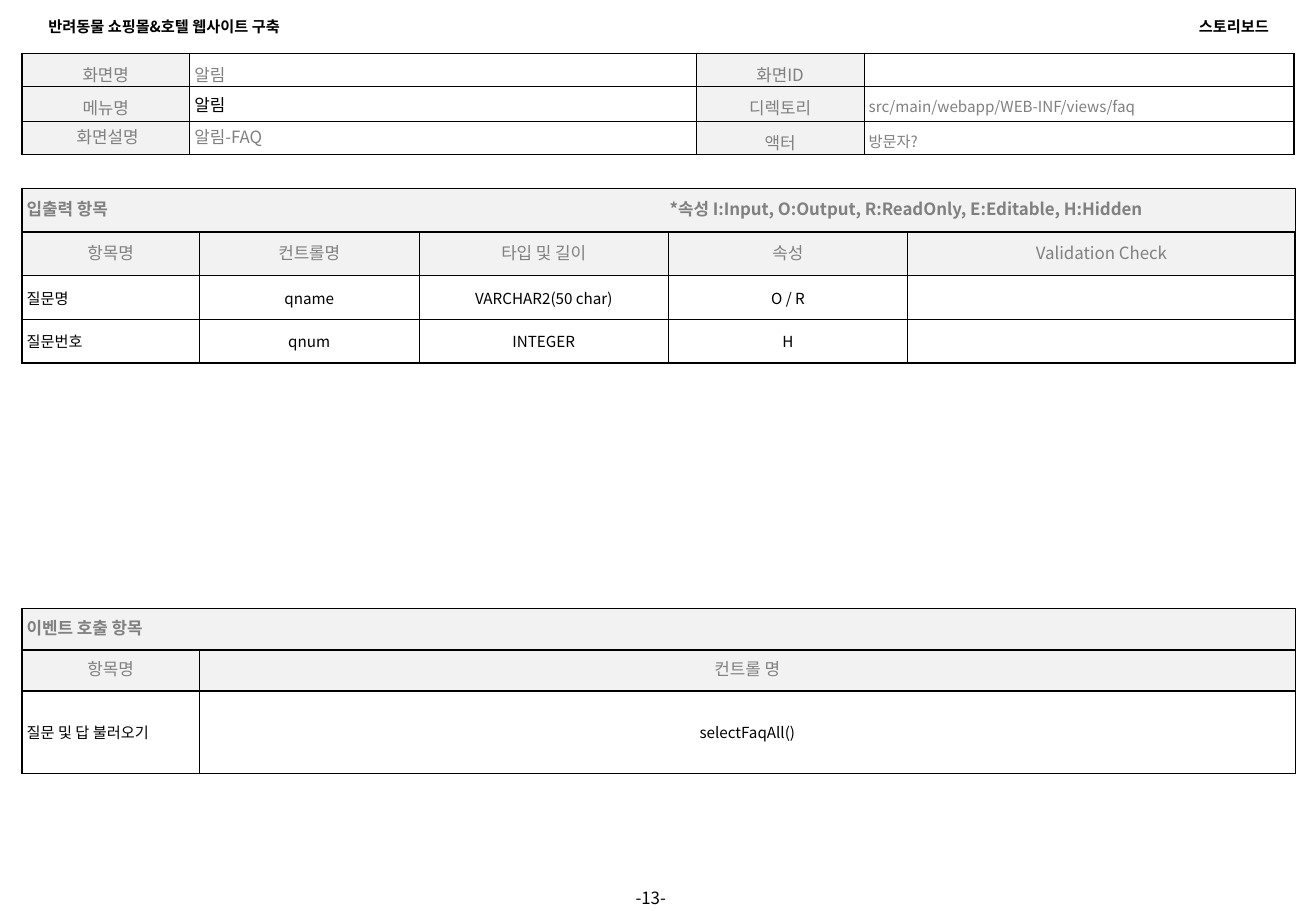
from lxml import etree
from pptx import Presentation
from pptx.dml.color import RGBColor
from pptx.enum import text
from pptx.oxml import ns
from pptx.util import Inches, Pt

FONT = "Noto Sans CJK KR"
COLORS = {"black": "000000", "gray": "808080", "shade": "F2F2F2"}
LEFT, CENTER, RIGHT = text.PP_ALIGN.LEFT, text.PP_ALIGN.CENTER, text.PP_ALIGN.RIGHT
TABLE_LEFT = 0.18
LEGEND_TAB = 5.29

LABELS = [
    ("-13-", (4.96, 7.31, 0.79, 0.16), CENTER, 10, False, 0.04),
    ("반려동물 쇼핑몰&호텔 웹사이트 구축", (0.3, 0.09, 2.99, 0.25), LEFT, 9, True, 0.1),
    ("스토리보드", (7.55, 0.09, 2.99, 0.25), RIGHT, 9, True, 0.1),
]

STYLES = {
    "title": dict(size=10, color="gray", bold=True, line=Pt(12), fill=True),
    "head": dict(size=10, color="gray", align=CENTER, line=Pt(12), fill=True),
    "item": dict(size=9),
    "value": dict(size=9, align=CENTER),
    "label": dict(size=10, color="gray", align=CENTER, line=1.15, space=3, fill=True),
    "label tight": dict(size=10, color="gray", align=CENTER, line=Pt(12), fill=True),
    "info": dict(size=10, color="gray", line=1.15, space=3),
    "info tight": dict(size=10, color="gray", line=Pt(12)),
    "info black": dict(size=10),
    "info small": dict(size=9, color="gray", line=1.15, space=3),
}

SECTIONS = [
    {
        "top": 1.55, "columns": [1.46, 1.81, 2.05, 1.97, 3.19], "heights": [0.36] * 4,
        "title": "입출력 항목\t*속성 I:Input, O:Output, R:ReadOnly, E:Editable, H:Hidden",
        "heads": ["항목명", "컨트롤명", "타입 및 길이", "속성", "Validation Check"],
        "items": [
            ["질문명", "qname", "VARCHAR2(50 char)", "O / R", ""],
            ["질문번호", "qnum", "INTEGER", "H", ""],
        ],
    },
    {
        "top": 5.01, "columns": [1.46, 9.02], "heights": [0.34, 0.34, 0.68],
        "title": "이벤트 호출 항목",
        "heads": ["항목명", "컨트롤 명"],
        "items": [["질문 및 답 불러오기", "selectFaqAll()"]],
    },
]

SCREEN_TOP = 0.44
SCREEN_COLUMNS = [1.38, 4.17, 1.38, 3.54]
SCREEN_HEIGHTS = [0.27, 0.29, 0.27]
SCREEN_ROWS = [
    [("화면명", "label"), ("알림", "info"), ("화면ID", "label"), ("", "info small")],
    [("메뉴명", "label"), ("알림", "info black"), ("디렉토리", "label"),
     ("src/main/webapp/WEB-INF/views/faq", "info small")],
    [("\u00a0화면설명".replace("\u00a0", " "), "label tight"), ("알림-FAQ", "info tight"),
     ("액터", "label"), ("방문자?", "info small")],
]
SCREEN_ROWS[2][0] = (" 화면설명", "label tight")


def write(paragraph, content, size, color="black", bold=False, align=LEFT, line=None, space=None):
    paragraph.text = content
    paragraph.alignment = align
    if line:
        paragraph.line_spacing = line
    if space:
        paragraph.space_before = paragraph.space_after = Pt(space)
    for run in paragraph.runs:
        run.font.name = FONT
        run.font.size = Pt(size)
        run.font.bold = bold
        run.font.color.rgb = RGBColor.from_string(COLORS[color])
        east_asian = etree.SubElement(run.font._element, ns.qn("a:ea"))
        east_asian.set("typeface", FONT)
    if not content:
        end = etree.SubElement(paragraph._p, ns.qn("a:endParaRPr"))
        end.set("sz", str(size * 100))


def set_margins(box, margin):
    box.margin_left = box.margin_right = box.margin_top = box.margin_bottom = Inches(margin)


def set_borders(cell, left, right):
    properties = cell._tc.get_or_add_tcPr()
    for position, (side, width) in enumerate(zip("LRTB", (left, right, 1, 1))):
        border = etree.Element(ns.qn(f"a:ln{side}"), w=str(Pt(width)))
        fill = etree.SubElement(border, ns.qn("a:solidFill"))
        etree.SubElement(fill, ns.qn("a:srgbClr"), val=COLORS["black"])
        properties.insert(position, border)


def add_tab(paragraph, position):
    tabs = etree.SubElement(paragraph._p.get_or_add_pPr(), ns.qn("a:tabLst"))
    etree.SubElement(tabs, ns.qn("a:tab"), pos=str(Inches(position)), algn="l")


def add_grid(slide, top, columns, heights, rows, inner):
    frame = slide.shapes.add_table(
        len(rows), len(columns), Inches(TABLE_LEFT), Inches(top),
        Inches(sum(columns)), Inches(sum(heights)))
    table = frame.table
    table.first_row = table.horz_banding = False
    for column, width in zip(table.columns, columns):
        column.width = Inches(width)
    for row, height in zip(table.rows, heights):
        row.height = Inches(height)
    edges = [1, *inner, 1]
    for r, cells in enumerate(rows):
        for c, (content, style) in enumerate(cells):
            cell = table.cell(r, c)
            look = dict(STYLES[style])
            if look.pop("fill", False):
                cell.fill.solid()
                cell.fill.fore_color.rgb = RGBColor.from_string(COLORS["shade"])
            else:
                cell.fill.background()
            cell.vertical_anchor = text.MSO_ANCHOR.MIDDLE
            set_margins(cell, 0.04)
            set_borders(cell, edges[c], edges[c + 1])
            write(cell.text_frame.paragraphs[0], content, **look)
    return table


def add_section(slide, section):
    columns = section["columns"]
    rows = [[(section["title"], "title")] + [("", "title")] * (len(columns) - 1)]
    rows.append([(head, "head") for head in section["heads"]])
    for first, *values in section["items"]:
        rows.append([(first, "item")] + [(value, "value") for value in values])
    table = add_grid(slide, section["top"], columns, section["heights"], rows,
                     [0.5] * (len(columns) - 1))
    title = table.cell(0, 0)
    title.merge(table.cell(0, len(columns) - 1))
    if "\t" in section["title"]:
        add_tab(title.text_frame.paragraphs[0], LEGEND_TAB)


def add_label(slide, content, place, align, size, bold, margin):
    box = slide.shapes.add_textbox(*map(Inches, place))
    frame = box.text_frame
    frame.word_wrap = True
    frame.vertical_anchor = text.MSO_ANCHOR.MIDDLE
    set_margins(frame, min(margin, 0.05))
    frame.margin_left = frame.margin_right = Inches(margin)
    write(frame.paragraphs[0], content, size, bold=bold, align=align)


def main():
    presentation = Presentation()
    presentation.slide_width = Inches(10.83)
    presentation.slide_height = Inches(7.5)
    slide = presentation.slides.add_slide(presentation.slide_layouts[6])
    for label in LABELS:
        add_label(slide, *label)
    for section in SECTIONS:
        add_section(slide, section)
    add_grid(slide, SCREEN_TOP, SCREEN_COLUMNS, SCREEN_HEIGHTS, SCREEN_ROWS, [1, 1, 0.5])
    presentation.save("out.pptx")


if __name__ == "__main__":
    main()
